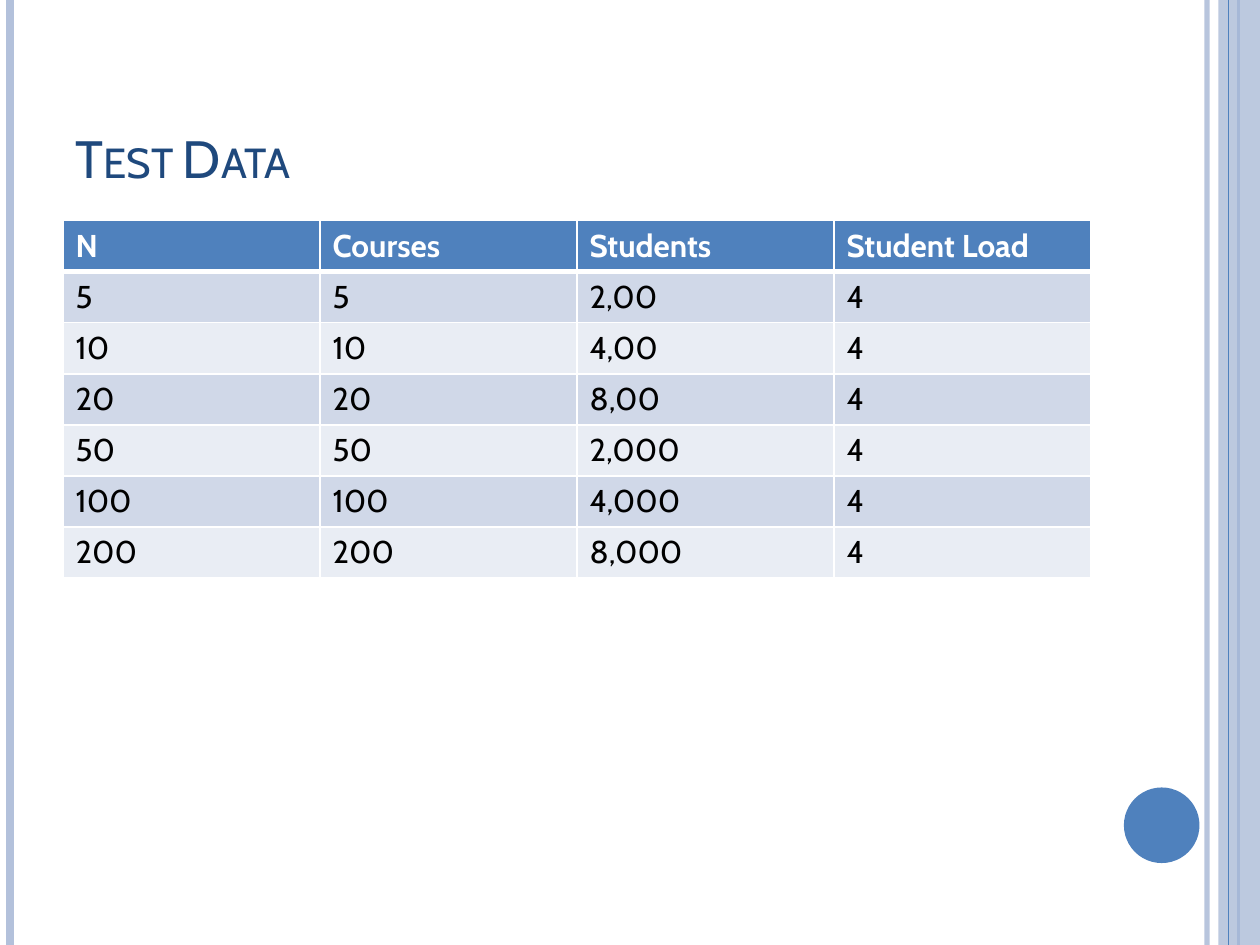
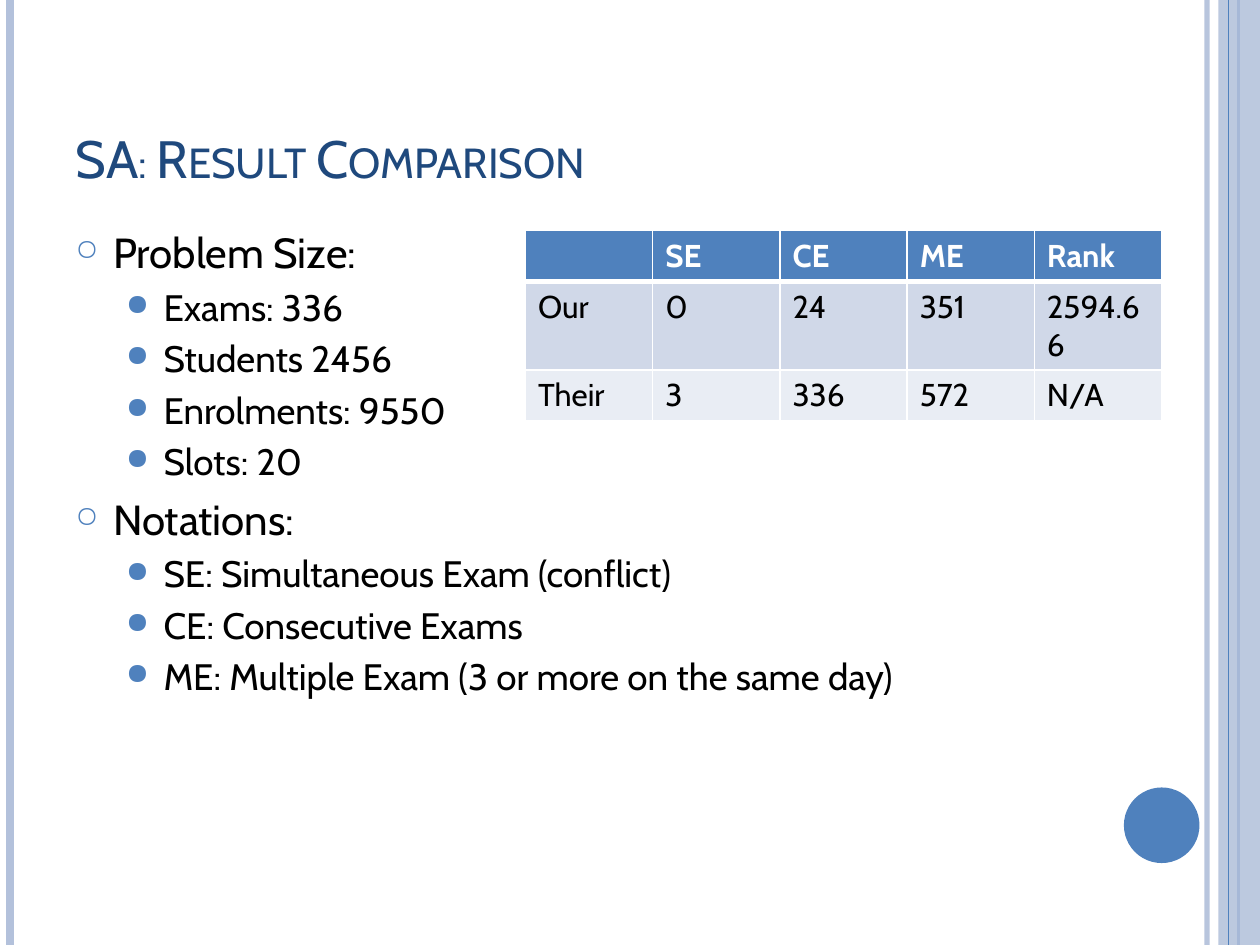
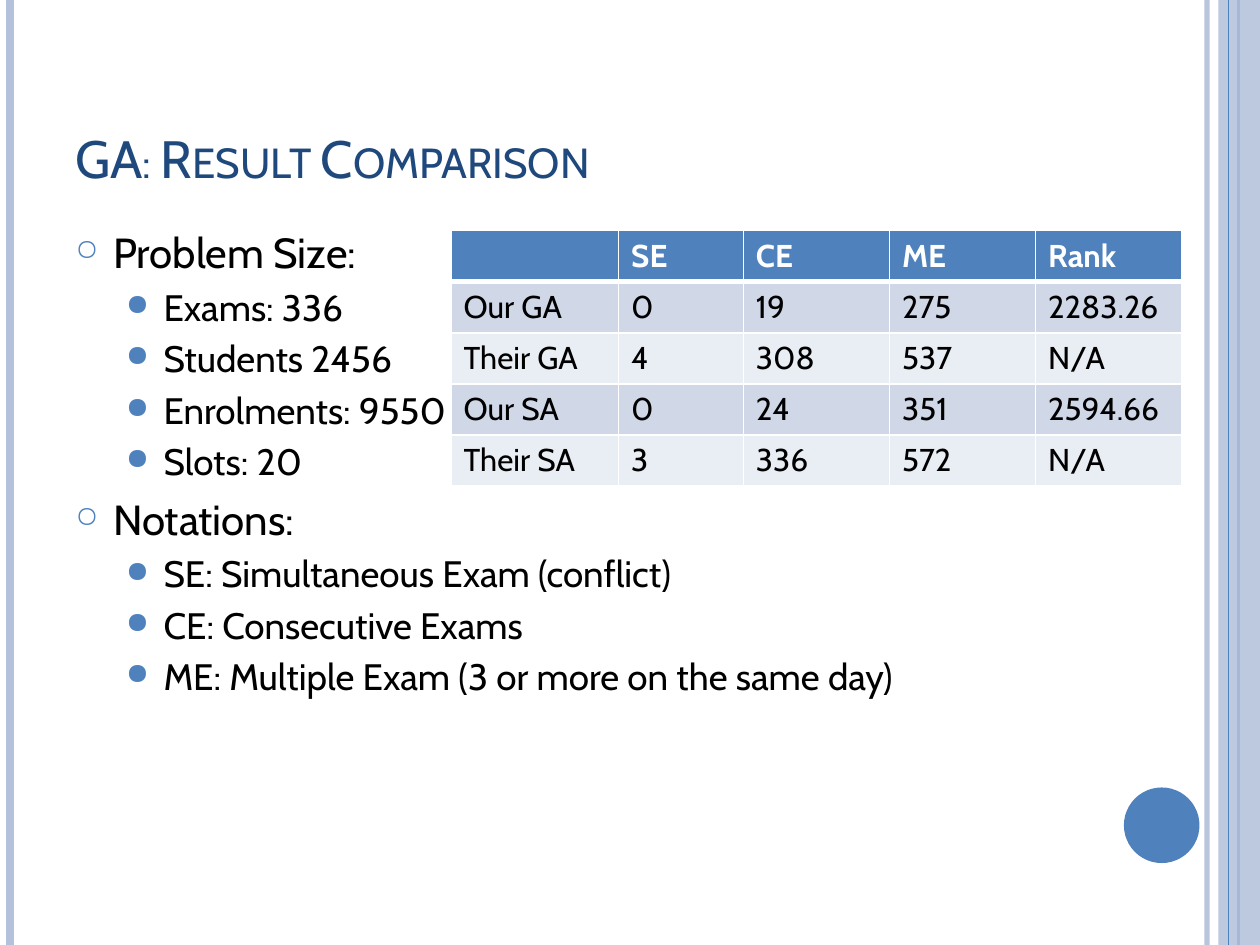
import pptx
import pptx.util
import pptx.dml.color
import pptx.enum.shapes
import pptx.enum.text
import pptx.oxml
import pptx.oxml.ns

Inches, Pt = pptx.util.Inches, pptx.util.Pt
FONT = "Cabin"
COLORS = {
    "blue": "4F81BD", "pale": "B3C1DB", "navy": "1F497D", "white": "FFFFFF",
    "black": "000000", "odd": "D0D8E8", "even": "E9EDF4",
}
WIDTH, HEIGHT = 10, 7.5

# Vertical rules: x, colour, points, opacity in percent
BACK_RULES = [(9.58, "pale", 3, 93), (0.08, "pale", 4.5, 100),
              (9.83, "blue", 1.5, 100)]
FRONT_RULES = [(9.75, "blue", 0.75, 100)]
BAND = (9.67, 0, 0.33, HEIGHT)
DOT = (8.92, 6.25, 0.6, 0.6)
TITLE = (0.5, 0.3, 8.17, 1.25)
BODY = (0.5, 1.75, 8.17, 5.33)

# Outline levels: size, indent, bullet, bullet percent, space before
LEVELS = [
    (24, 0.3, "\u25cb", 70, '<a:spcPts val="600"/>'),
    (21, 0.7, "\u25cf", 80, '<a:spcPct val="20000"/>'),
]
HANG = 0.3
OUTLINE = [
    ("Problem Size:", ["Exams: 336", "Students 2456", "Enrolments: 9550",
                       "Slots: 20"]),
    ("Notations:", ["SE: Simultaneous Exam (conflict)",
                    "CE: Consecutive Exams",
                    "ME: Multiple Exam (3 or more on the same day)"]),
]
HEAD = ["", "SE", "CE", "ME", "Rank"]
SLIDES = [
    {"title": "Test Data", "outline": [],
     "spot": (0.5, 1.75), "cols": [2.04] * 4,
     "rows": [["N", "Courses", "Students", "Student Load"],
              ["5", "5", "2,00", "4"],
              ["10", "10", "4,00", "4"],
              ["20", "20", "8,00", "4"],
              ["50", "50", "2,000", "4"],
              ["100", "100", "4,000", "4"],
              ["200", "200", "8,000", "4"]]},
    {"title": "SA: Result Comparison", "outline": OUTLINE,
     "spot": (4.17, 1.83), "cols": [1.01] * 5,
     "rows": [HEAD,
              ["Our", "0", "24", "351", "2594.66"],
              ["Their", "3", "336", "572", "N/A"]]},
    {"title": "GA: Result Comparison", "outline": OUTLINE,
     "spot": (3.58, 1.83), "cols": [1.33, 0.99] + [1.16] * 3,
     "rows": [HEAD,
              ["Our GA", "0", "19", "275", "2283.26"],
              ["Their GA", "4", "308", "537", "N/A"],
              ["Our SA", "0", "24", "351", "2594.66"],
              ["Their SA", "3", "336", "572", "N/A"]]},
]
ROW = Pt(29.2)


def rgb(name):
    """Return the named colour."""
    return pptx.dml.color.RGBColor.from_string(COLORS[name])


def xml(tag, inner="", attrs=""):
    """Make one drawing element."""
    space = pptx.oxml.ns.nsdecls("a")
    return pptx.oxml.parse_xml(f"<a:{tag} {space} {attrs}>{inner}</a:{tag}>")


def paint(name):
    """Return the XML text of a named colour."""
    return f'<a:srgbClr val="{COLORS[name]}"/>'


def fade(shape, alpha):
    """Set the opacity of a shape's only colour."""
    for color in shape._element.spPr.iter(pptx.oxml.ns.qn("a:srgbClr")):
        color.append(xml("alpha", attrs=f'val="{alpha * 1000}"'))


def add_rule(slide, x, color, width, alpha):
    """Draw a rule down the full slide."""
    left = Inches(x)
    rule = slide.shapes.add_connector(
        pptx.enum.shapes.MSO_CONNECTOR.STRAIGHT, left, 0, left, Inches(HEIGHT))
    rule.line.color.rgb = rgb(color)
    rule.line.width = Pt(width)
    if alpha < 100:
        fade(rule, alpha)
    rule._element.spPr.append(xml("effectLst"))


def add_block(slide, kind, box, color, alpha=100):
    """Draw a plain filled shape."""
    block = slide.shapes.add_shape(kind, *map(Inches, box))
    block.shadow.inherit = False
    block.fill.solid()
    block.fill.fore_color.rgb = rgb(color)
    if alpha < 100:
        fade(block, alpha)
    block.line.fill.background()


def add_frame(slide):
    """Draw the rules, band and dot that every slide shares."""
    kinds = pptx.enum.shapes.MSO_SHAPE
    for rule in BACK_RULES:
        add_rule(slide, *rule)
    add_block(slide, kinds.RECTANGLE, BAND, "pale", 87)
    for rule in FRONT_RULES:
        add_rule(slide, *rule)
    add_block(slide, kinds.OVAL, DOT, "blue")


def add_run(para, text, size, color, bold=False):
    """Add one run of text and return it."""
    run = para.add_run()
    run.text = text
    run.font.name = FONT
    run.font.size = Pt(size)
    run.font.bold = bold
    run.font.color.rgb = rgb(color)
    return run


def add_box(slide, box):
    """Add a wrapping text box and return its frame."""
    frame = slide.shapes.add_textbox(*map(Inches, box)).text_frame
    frame.word_wrap = True
    return frame


def add_title(slide, text):
    """Add the title in small capitals."""
    frame = add_box(slide, TITLE)
    frame.vertical_anchor = pptx.enum.text.MSO_ANCHOR.BOTTOM
    run = add_run(frame.paragraphs[0], text, 30, "navy")
    run._r.get_or_add_rPr().set("cap", "small")


def add_body(slide, outline):
    """Add the two-level bulleted outline."""
    frame = add_box(slide, BODY)
    lines = [(level, text) for head, items in outline
             for level, text in [(0, head)] + [(1, item) for item in items]]
    for i, (level, text) in enumerate(lines):
        size, indent, mark, scale, space = LEVELS[level]
        para = frame.add_paragraph() if i else frame.paragraphs[0]
        para.level = level
        props = para._p.get_or_add_pPr()
        props.set("marL", str(Inches(indent)))
        props.set("indent", str(-Inches(HANG)))
        props.append(xml("spcBef", space))
        props.append(xml("buClr", paint("blue")))
        props.append(xml("buSzPct", attrs=f'val="{scale * 1000}"'))
        props.append(xml("buChar", attrs=f'char="{mark}"'))
        add_run(para, text, size, "black")


def add_edges(cell, row):
    """Give a cell white borders, thick below the header."""
    widths = {"lnL": 1, "lnR": 1, "lnT": 3 if row == 1 else 1,
              "lnB": 3 if row == 0 else 1}
    fill = f"<a:solidFill>{paint('white')}</a:solidFill>"
    props = cell._tc.get_or_add_tcPr()
    for i, (tag, width) in enumerate(widths.items()):
        props.insert(i, xml(tag, fill, f'w="{Pt(width)}"'))


def add_grid(slide, spot, cols, rows):
    """Add a table with a blue header and banded rows."""
    left, top = map(Inches, spot)
    table = slide.shapes.add_table(len(rows), len(cols), left, top,
                                   Inches(sum(cols)), ROW * len(rows)).table
    for col, width in zip(table.columns, cols):
        col.width = Inches(width)
    for r, texts in enumerate(rows):
        table.rows[r].height = ROW
        fill = "blue" if r == 0 else "odd" if r % 2 else "even"
        for c, text in enumerate(texts):
            cell = table.cell(r, c)
            cell.fill.solid()
            cell.fill.fore_color.rgb = rgb(fill)
            add_edges(cell, r)
            if text:
                add_run(cell.text_frame.paragraphs[0], text, 18,
                        "black" if r else "white", r == 0)


def build():
    """Build and save the slides."""
    deck = pptx.Presentation()
    deck.slide_width, deck.slide_height = Inches(WIDTH), Inches(HEIGHT)
    for page in SLIDES:
        slide = deck.slides.add_slide(deck.slide_layouts[6])
        add_frame(slide)
        add_title(slide, page["title"])
        if page["outline"]:
            add_body(slide, page["outline"])
        add_grid(slide, page["spot"], page["cols"], page["rows"])
    deck.save("out.pptx")


build()
